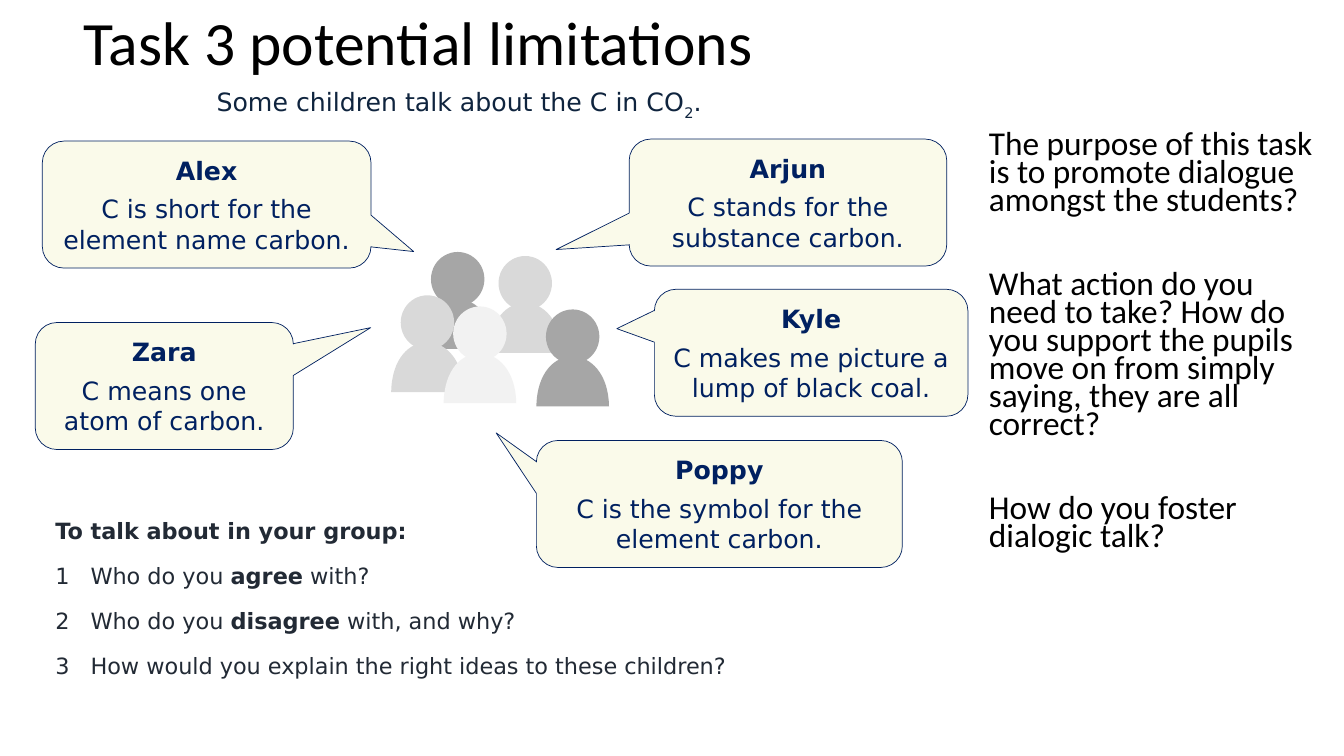
"""Builds the slide on the limitations of Task 3, with five children's speech bubbles."""
from dataclasses import dataclass, field

from lxml import etree
from pptx import Presentation
from pptx import util as u
from pptx.dml.color import RGBColor
from pptx.enum import shapes, text
from pptx.oxml import ns

BODY_FONT, TALK_FONT = "Calibri", "DejaVu Sans"
BLACK, NAVY, SLATE, INK = "000000", "002060", "222A35", "0F243E"
CREAM = "FAFAEA"
PERSON_W, PERSON_H, HEAD_W, HEAD_H = 0.72, 0.49, 0.53, 0.54
SHOULDER_CURVE = ((0.71, -0.16), (0.01, -0.18), (0, PERSON_H))
BUBBLE_H = 1.26


@dataclass
class Run:
    text: str
    bold: bool = False
    baseline: int = 0


@dataclass
class Para:
    runs: list[Run]
    fmt: dict = field(default_factory=dict)
    hanging: float = 0


@dataclass
class Person:
    left: float
    top: float
    color: str


@dataclass
class Bubble:
    name: str
    saying: str
    left: float
    top: float
    width: float
    tip: tuple[float, float]


PEOPLE = [
    Person(4.18, 2.97, "A6A6A6"),
    Person(3.88, 3.40, "D9D9D9"),
    Person(4.85, 3.01, "D9D9D9"),
    Person(5.32, 3.54, "A6A6A6"),
    Person(4.40, 3.51, "F2F2F2"),
]
BUBBLES = [
    Bubble("Alex", "C is short for the element name carbon.", 0.42, 1.4, 3.26, (0.63, 0.37)),
    Bubble("Zara", "C means one atom of carbon.", 0.35, 3.2, 2.56, (0.8, -0.46)),
    Bubble("Poppy", "C is the symbol for the element carbon.", 5.32, 4.37, 3.63, (-0.61, -0.56)),
    Bubble("Arjun", "C stands for the substance carbon.", 6.24, 1.38, 3.15, (-0.73, 0.37)),
    Bubble("Kyle", "C makes me picture a lump of black coal.", 6.49, 2.87, 3.11, (-0.62, -0.19)),
]
PROMPTS = [
    "The purpose of this task is to promote dialogue amongst the students?",
    "What action do you need to take? How do you support the pupils move on from simply "
    "saying, they are all correct?",
    "How do you foster dialogic talk?",
]
QUESTIONS = [
    [Run("Who do you "), Run("agree", True), Run(" with?")],
    [Run("Who do you "), Run("disagree", True), Run(" with, and why?")],
    [Run("How would you explain the right ideas to these children?")],
]


def rgb(color: str) -> RGBColor:
    return RGBColor.from_string(color)


def set_all(obj, values: dict) -> None:
    for name, value in values.items():
        setattr(obj, name, value)


def place(sp, left: float, top: float, width: float, height: float) -> None:
    box = {"left": left, "top": top, "width": width, "height": height}
    set_all(sp, {name: u.Inches(value) for name, value in box.items()})


def write(tf, paras: list[Para], font: str, size: float, color: str) -> None:
    tf.word_wrap = True
    for i, para in enumerate(paras):
        p = tf.paragraphs[0] if i == 0 else tf.add_paragraph()
        set_all(p, para.fmt)
        if para.hanging:
            indent = u.Inches(para.hanging)
            pPr = p._p.get_or_add_pPr()
            pPr.set("marL", str(indent))
            pPr.set("indent", str(-indent))
        for run in para.runs:
            r = p.add_run()
            r.text = run.text
            set_all(r.font, {"name": font, "size": u.Pt(size), "bold": run.bold})
            r.font.color.rgb = rgb(color)
            if run.baseline:
                r._r.get_or_add_rPr().set("baseline", str(run.baseline))


def add_text(s, box: tuple, paras: list[Para], font: str, size: float, color: str) -> None:
    sp = s.shapes.add_textbox(*map(u.Inches, box))
    write(sp.text_frame, paras, font, size, color)


def paint(sp, fill: str, line: str | None = None) -> None:
    sp.shadow.inherit = False
    sp.fill.solid()
    sp.fill.fore_color.rgb = rgb(fill)
    if line:
        sp.line.color.rgb = rgb(line)
        sp.line.width = u.Pt(0.5)
    else:
        sp.line.fill.background()


def round_shoulders(sp) -> None:
    corner, end = list(sp._element.iter(ns.qn("a:lnTo")))[:2]
    curve = etree.Element(ns.qn("a:cubicBezTo"))
    for x, y in SHOULDER_CURVE:
        etree.SubElement(curve, ns.qn("a:pt"), x=str(u.Inches(x)), y=str(u.Inches(y)))
    outline = corner.getparent()
    outline.replace(corner, curve)
    outline.remove(end)


def add_person(group, person: Person) -> None:
    left, top = u.Inches(person.left), u.Inches(person.top)
    right, bottom = left + u.Inches(PERSON_W), top + u.Inches(PERSON_H)
    builder = group.shapes.build_freeform(right, bottom)
    builder.add_line_segments([(left, top), (left, bottom), (right, bottom)], close=True)
    body = builder.convert_to_shape()
    round_shoulders(body)
    paint(body, person.color)
    head_box = (person.left + (PERSON_W - HEAD_W) / 2, person.top - 0.47, HEAD_W, HEAD_H)
    head = group.shapes.add_shape(shapes.MSO_SHAPE.OVAL, *map(u.Inches, head_box))
    paint(head, person.color)


def add_bubble(s, bubble: Bubble) -> None:
    box = (bubble.left, bubble.top, bubble.width, BUBBLE_H)
    sp = s.shapes.add_shape(shapes.MSO_SHAPE.ROUNDED_RECTANGULAR_CALLOUT, *map(u.Inches, box))
    for i, value in enumerate((*bubble.tip, 0.17)):
        sp.adjustments[i] = value
    paint(sp, CREAM, NAVY)
    centred = {"alignment": text.PP_ALIGN.CENTER}
    paras = [
        Para([Run(bubble.name, True)], {**centred, "space_after": u.Pt(6)}),
        Para([Run(bubble.saying)], centred),
    ]
    write(sp.text_frame, paras, TALK_FONT, 18, NAVY)
    sp.text_frame.vertical_anchor = text.MSO_ANCHOR.MIDDLE


def main() -> None:
    prs = Presentation()
    prs.slide_width, prs.slide_height = u.Inches(13.33), u.Inches(7.5)
    s = prs.slides.add_slide(prs.slide_layouts[5])

    title = s.shapes.title
    place(title, 0.73, -0.27, 11.5, 1.45)
    title_fmt = {"alignment": text.PP_ALIGN.LEFT, "line_spacing": 0.9}
    write(title.text_frame, [Para([Run("Task 3 potential limitations")], title_fmt)],
          BODY_FONT, 44, BLACK)
    set_all(title.text_frame, {"vertical_anchor": text.MSO_ANCHOR.MIDDLE,
                               "auto_size": text.MSO_AUTO_SIZE.NONE})

    prompts = [
        Para([Run(prompt)], {"line_spacing": 0.7, "space_before": u.Pt(40 if i else 10)})
        for i, prompt in enumerate(PROMPTS)
    ]
    add_text(s, (9.71, 1.27, 3.48, 4.76), prompts, BODY_FONT, 23.8, BLACK)

    group = s.shapes.add_group_shape()
    for person in PEOPLE:
        add_person(group, person)
    for bubble in BUBBLES:
        add_bubble(s, bubble)

    spaced = {"line_spacing": 1.5, "space_before": u.Pt(3.2)}
    talk = [Para([Run("To talk about in your group:", True)], spaced)]
    talk += [Para([Run(f"{n}\t"), *runs], spaced, 0.35) for n, runs in enumerate(QUESTIONS, 1)]
    add_text(s, (0.45, 4.95, 9.06, 1.92), talk, TALK_FONT, 16, SLATE)

    intro = [Run("Some children talk about the C in CO"), Run("2", baseline=-25000), Run(".")]
    add_text(s, (2.05, 0.81, 6.68, 0.57), [Para(intro, {"space_before": u.Pt(3.6)})],
             TALK_FONT, 18, INK)
    prs.save("out.pptx")


if __name__ == "__main__":
    main()
